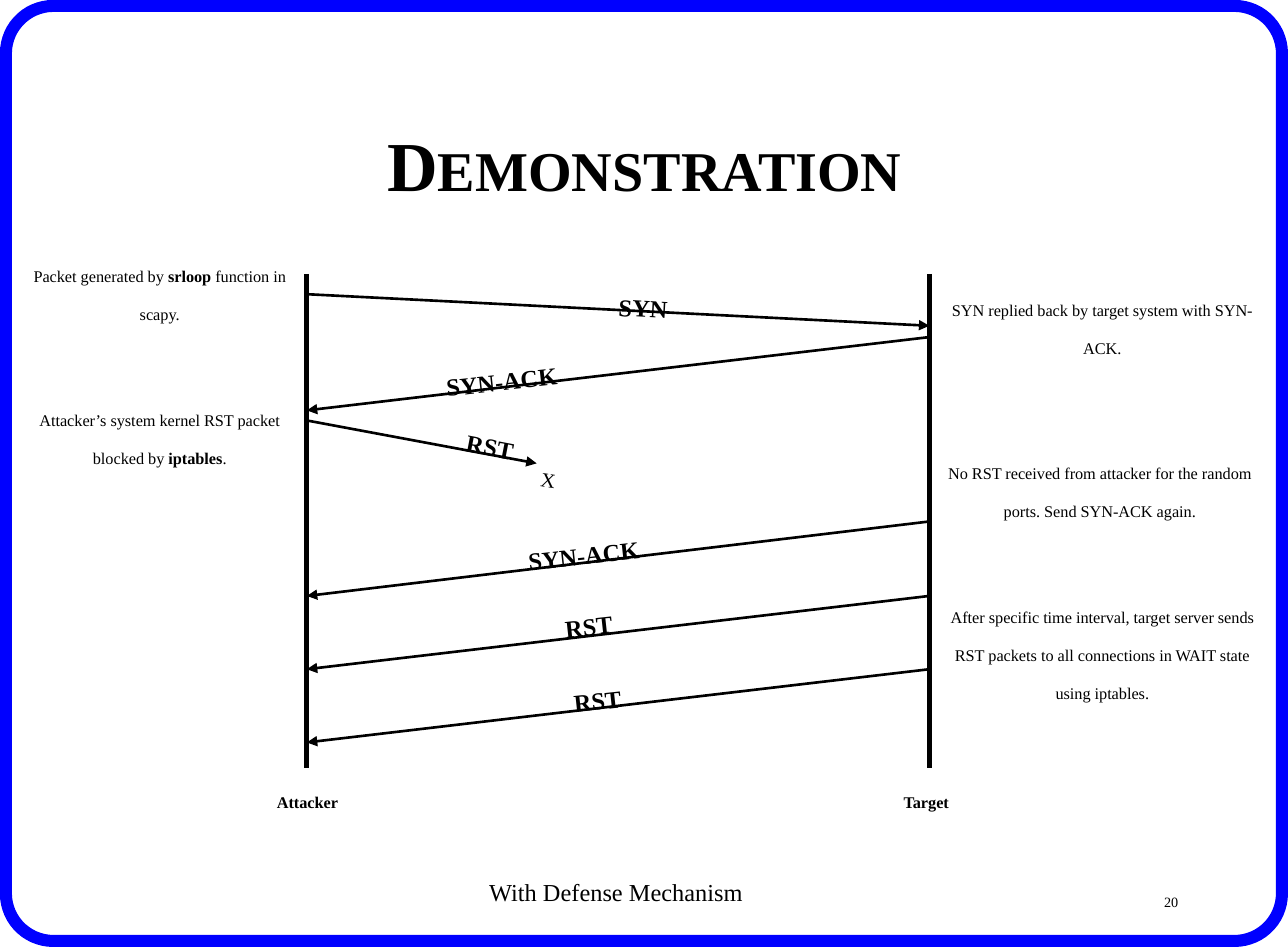
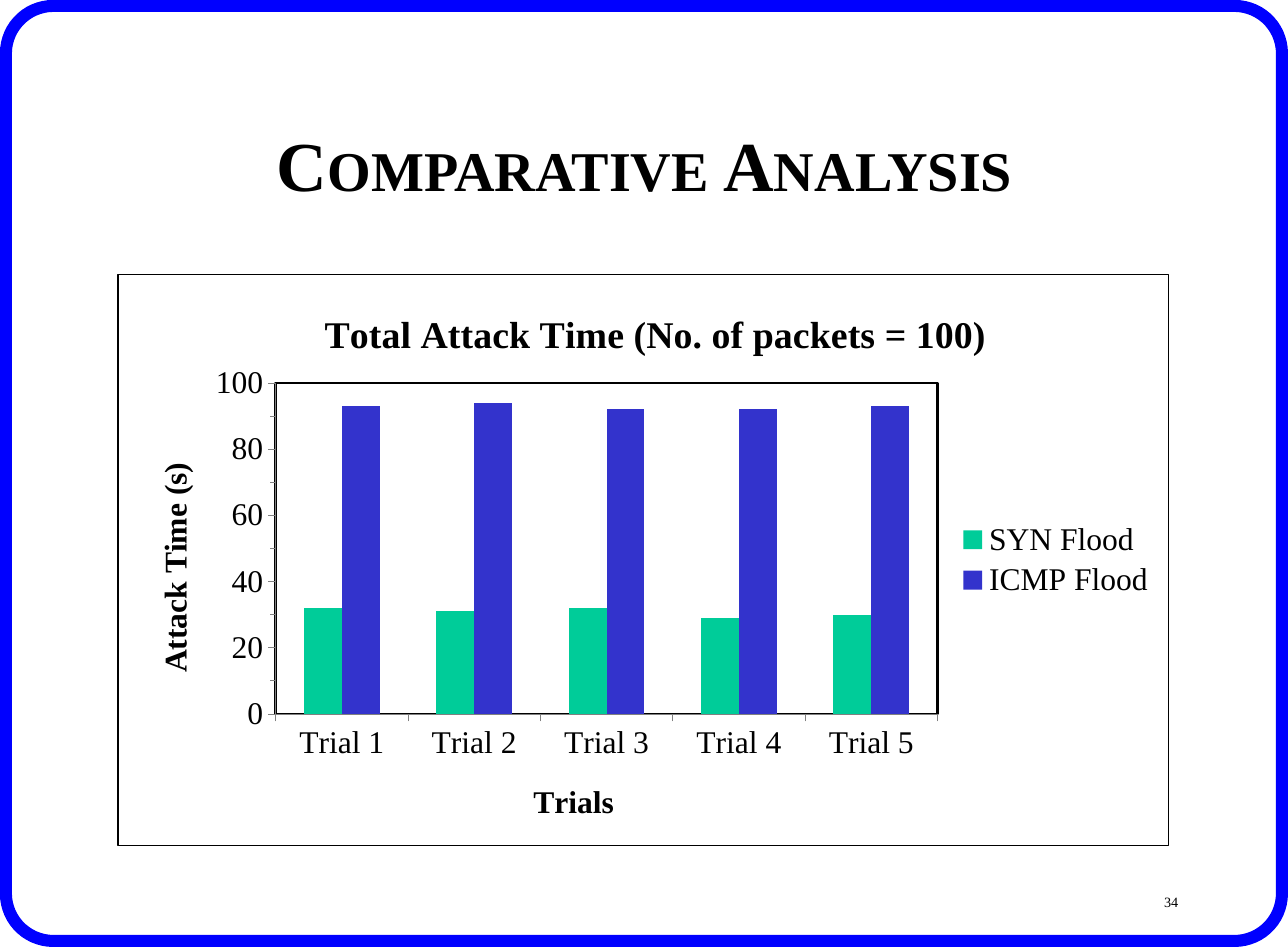
from dataclasses import dataclass
from math import cos, radians, sin

from pptx import Presentation
from pptx.chart.data import CategoryChartData
from pptx.dml.color import RGBColor
from pptx.enum.chart import XL_CHART_TYPE as CHART, XL_LEGEND_POSITION as LEGEND
from pptx.enum.chart import XL_TICK_MARK as TICK
from pptx.enum.shapes import MSO_CONNECTOR as CONN
from pptx.enum.text import MSO_ANCHOR as ANCHOR, MSO_AUTO_SIZE as FIT, PP_ALIGN as ALIGN
from pptx.oxml import parse_xml
from pptx.oxml.ns import nsdecls, qn
from pptx.util import Inches, Pt


@dataclass(frozen=True)
class Theme:
    font: str = "Times New Roman"
    ink: str = "000000"
    frame: str = "0000FF"
    tick: str = "808080"
    series: tuple = ("00CC99", "3333CC")
    title: float = 40
    title_caps: float = 32
    label: float = 24
    mark: float = 20
    chart_title: float = 21.6
    chart: float = 18
    note: float = 16
    number: float = 14


T = Theme()
COLS, ROWS = 102, 75              # grid cells of a tenth of an inch
ATTACKER, TARGET = 24.3, 73.6     # columns of the two lifelines


def grid(*cells):
    return [Inches(c / 10) for c in cells]


def rgb(color):
    return RGBColor.from_string(color)


# --- text and lines ---
def style(font, size, bold=False, color=T.ink):
    font.name, font.size, font.bold = T.font, Pt(size), bold
    font.color.rgb = rgb(color)


def add_text(slide, box, text, size=T.note, bold=False, align=ALIGN.CENTER,
             anchor=ANCHOR.TOP, wrap=True, fit=FIT.SHAPE_TO_FIT_TEXT, rot=0, lowered=True):
    """Text is a string or a list of (text, overrides) runs."""
    sp = slide.shapes.add_textbox(*grid(*box))
    sp.rotation = rot
    tf = sp.text_frame
    tf.word_wrap, tf.auto_size, tf.vertical_anchor = wrap, fit, anchor
    p = tf.paragraphs[0]
    p.alignment = align
    for part, changes in ([(text, {})] if isinstance(text, str) else text):
        r = p.add_run()
        r.text = part
        style(r.font, **{"size": size, "bold": bold, **changes})
        if lowered:
            r._r.get_or_add_rPr().set("baseline", "-25000")
    return sp


def add_line(slide, x1, y1, x2, y2, width=1.5, arrow=False):
    line = slide.shapes.add_connector(CONN.STRAIGHT, *grid(x1, y1, x2, y2))
    line.line.color.rgb, line.line.width = rgb(T.ink), Pt(width)
    if arrow:
        ln = line.line._get_or_add_ln()
        ln.append(parse_xml(f'<a:tailEnd {nsdecls("a")} type="triangle"/>'))
    line._element.spPr.append(parse_xml(f'<a:effectLst {nsdecls("a")}/>'))


# --- parts shared by the slides ---
def rounded_loop(inset, radius, step=6):
    near, right, bottom = inset + radius, COLS - inset - radius, ROWS - inset - radius
    corners = ((right, near, 270), (right, bottom, 0), (near, bottom, 90), (near, near, 180))
    return [tuple(grid(x + radius * cos(radians(start + a)), y + radius * sin(radians(start + a))))
            for x, y, start in corners for a in range(0, 91, step)]


def add_frame(prs, slide):
    """Draws the frame and moves it to the master, so every slide shows it."""
    outer, inner = rounded_loop(0, 4.2), rounded_loop(0.95, 3.3)[::-1]
    fb = slide.shapes.build_freeform(*outer[0], scale=1.0)
    fb.add_line_segments(outer[1:], close=True)
    fb.move_to(*inner[0])
    fb.add_line_segments(inner[1:], close=True)
    sp = fb.convert_to_shape()
    sp.shadow.inherit = False
    sp.fill.solid()
    sp.fill.fore_color.rgb = rgb(T.frame)
    sp.line.fill.background()
    prs.slide_master.shapes.element.append(sp.element)


def add_slide(prs, title, number):
    slide = prs.slides.add_slide(prs.slide_layouts[6])
    add_text(slide, (73.1, 68.3, 21.2, 5), number, size=T.number, align=ALIGN.RIGHT,
             anchor=ANCHOR.MIDDLE, fit=FIT.NONE)
    runs = []
    words = title.split()
    for i, word in enumerate(words):
        gap = " " if i < len(words) - 1 else ""
        runs += [(word[0], {}), (word[1:] + gap, {"size": T.title_caps})]
    add_text(slide, (7.7, 6.7, 86.7, 12.5), runs, size=T.title, bold=True,
             anchor=ANCHOR.MIDDLE, fit=FIT.NONE, lowered=False)
    return slide


# --- chart ---
def set_layout(el, x, y, w=None, h=None):
    old = el.find(qn("c:layout"))
    if old is not None:
        el.remove(old)
    values = [("xMode", "edge"), ("yMode", "edge"), ("x", x), ("y", y)]
    if w:
        values = [("layoutTarget", "inner"), *values, ("w", w), ("h", h)]
    inside = "".join(f'<c:{k} val="{v}"/>' for k, v in values)
    layout = parse_xml(f'<c:layout {nsdecls("c")}><c:manualLayout>{inside}'
                       '</c:manualLayout></c:layout>')
    tx = el.find(qn("c:tx"))
    if tx is None:
        el.insert(0, layout)
    else:
        tx.addnext(layout)


def outline(width):
    return parse_xml(f'<c:spPr {nsdecls("c", "a")}><a:noFill/><a:ln w="{Pt(width)}"><a:solidFill>'
                     f'<a:srgbClr val="{T.ink}"/></a:solidFill></a:ln></c:spPr>')


def set_title(title, text, size, x, y, rot=0):
    tf = title.text_frame
    tf.text = text
    style(tf.paragraphs[0].runs[0].font, size, bold=True)
    body = tf._txBody.find(qn("a:bodyPr"))
    body.set("rot", str(rot * 60000))
    body.set("vert", "horz")
    set_layout(title.element, x, y)


def set_axis(axis, minor):
    axis.has_major_gridlines = False
    axis.major_tick_mark, axis.minor_tick_mark = TICK.OUTSIDE, minor
    axis.format.line.color.rgb, axis.format.line.width = rgb(T.tick), Pt(0.5)
    style(axis.tick_labels.font, T.chart)


def add_column_chart(slide, box, cats, series):
    data = CategoryChartData()
    data.categories = cats
    for name, values in series.items():
        data.add_series(name, values)
    chart = slide.shapes.add_chart(CHART.COLUMN_CLUSTERED, *grid(*box), data).chart
    style(chart.font, T.chart)

    plot = chart.plots[0]
    plot.gap_width, plot.overlap, plot.vary_by_categories = 150, 0, False
    for s, color in zip(plot.series, T.series):
        s.format.fill.solid()
        s.format.fill.fore_color.rgb = rgb(color)

    cat, val = chart.category_axis, chart.value_axis
    set_axis(cat, TICK.NONE)
    set_axis(val, TICK.OUTSIDE)
    val.minimum_scale, val.maximum_scale = 0, 100
    val.major_unit, val.minor_unit = 20, 10

    chart.has_title = True
    set_title(chart.chart_title, "Total Attack Time (No. of packets = 100)",
              T.chart_title, 0.19, 0.05)
    set_title(cat.axis_title, "Trials", T.chart, 0.39, 0.88)
    set_title(val.axis_title, "Attack Time (s)", T.chart, 0.03, 0.32, rot=-90)

    chart.has_legend = True
    chart.legend.position, chart.legend.include_in_layout = LEGEND.RIGHT, False
    style(chart.legend.font, T.chart)

    area = chart.element.find(".//" + qn("c:plotArea"))
    set_layout(area, 0.15, 0.19, 0.63, 0.58)
    area.append(outline(1.5))
    chart.element.find(qn("c:chart")).addnext(outline(0.75))


# --- slides ---
def add_sequence(slide):
    for x in (ATTACKER, TARGET):
        add_line(slide, x, 21.7, x, 60.8, width=3)

    # arrow ends, label, label box and its turn
    messages = (
        (ATTACKER, 23.3, TARGET, 25.8, "SYN", (47.8, 20.5, 6.5, 3.7), 3.4),
        (TARGET, 26.7, ATTACKER, 32.5, "SYN-ACK", (33.4, 26.3, 12.2, 3.7), -6.2),
        (ATTACKER, 33.3, 42.5, 36.7, "RST", (36, 31.5, 6.4, 3.7), 11),
        (TARGET, 41.3, ATTACKER, 47.2, "SYN-ACK", (39.9, 40.1, 12.2, 3.7), -6.2),
        (TARGET, 47.2, ATTACKER, 53, "RST", (43.2, 45.7, 6.4, 3.7), -6.2),
        (TARGET, 53, ATTACKER, 58.8, "RST", (43.9, 51.6, 6.4, 3.7), -6.2),
    )
    for *ends, label, box, rot in messages:
        add_line(slide, *ends, arrow=True)
        add_text(slide, box, label, size=T.label, bold=True, wrap=False, rot=rot)
    add_text(slide, (40.3, 34.7, 6.6, 4.4), "X", size=T.mark, rot=8.7)

    # notes beside the lifelines
    strong = {"bold": True}
    notes = (
        ((1, 19.1, 23.3, 9.1), [("Packet generated by ", {}), ("srloop", strong),
                                (" function in scapy.", {})]),
        ((1, 30.5, 23.3, 9.1), [("Attacker’s system kernel RST packet blocked by ", {}),
                                ("iptables", strong), (".", {})]),
        ((73.6, 21.8, 27.4, 6.4), "SYN replied back by target system with SYN-ACK."),
        ((73.4, 34.7, 27.4, 11.8), "No RST received from attacker for the random ports. "
                                   "Send SYN-ACK again."),
        ((73.6, 46.1, 27.4, 11.8), "After specific time interval, target server sends RST "
                                   "packets to all connections in WAIT state using iptables."),
    )
    for box, text in notes:
        add_text(slide, box, text)
    for left, name in ((12.7, "Attacker"), (61.7, "Target")):
        add_text(slide, (left, 60.8, 23.3, 3.7), name, bold=True)
    add_text(slide, (30.3, 66.7, 37, 5), "With Defense Mechanism", size=T.label, wrap=False)


def main():
    prs = Presentation()
    prs.slide_width, prs.slide_height = grid(COLS, ROWS)

    demo = add_slide(prs, "DEMONSTRATION", "20")
    add_frame(prs, demo)
    add_sequence(demo)

    analysis = add_slide(prs, "COMPARATIVE ANALYSIS", "34")
    add_column_chart(analysis, (9.3, 21.7, 83.3, 45.3), [f"Trial {n}" for n in range(1, 6)],
                     {"SYN Flood": (32, 31, 32, 29, 30), "ICMP Flood": (93, 94, 92, 92, 93)})

    prs.save("out.pptx")


if __name__ == "__main__":
    main()
